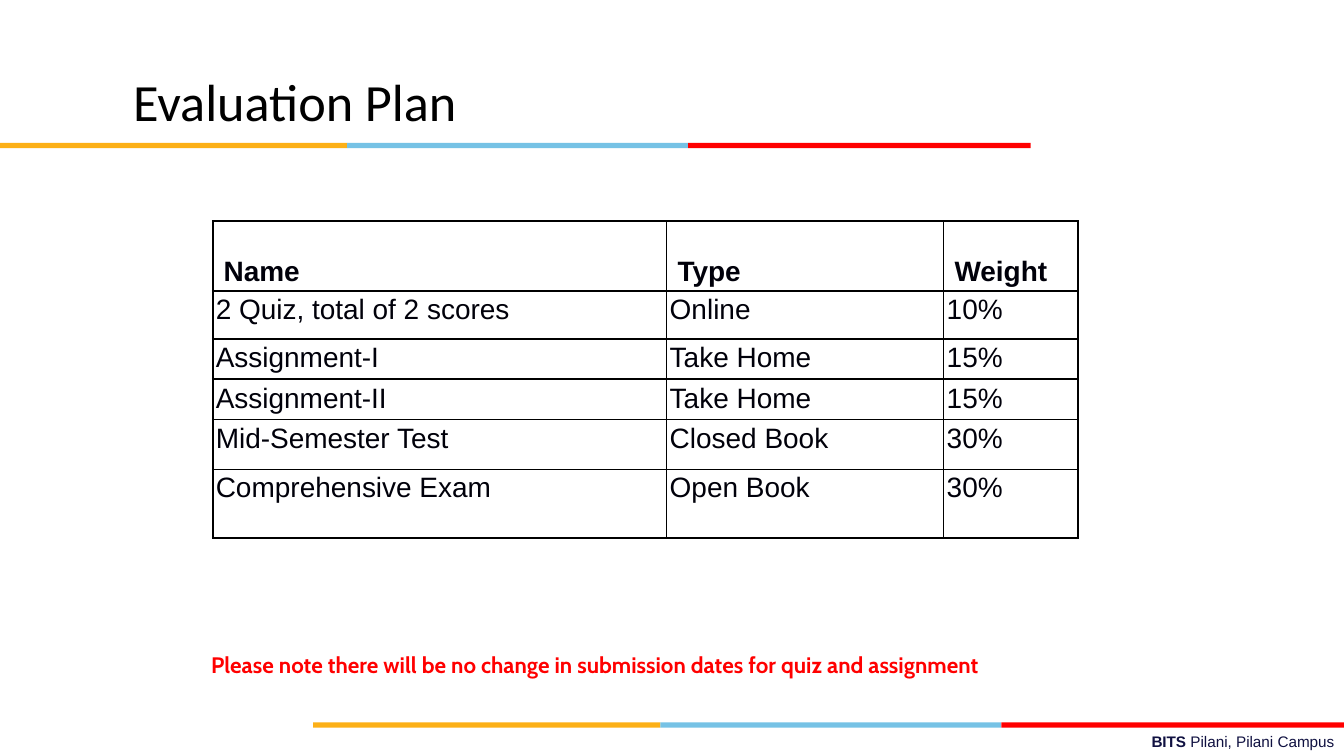
"""Build the Evaluation Plan slide."""
from dataclasses import dataclass

from lxml import etree
from pptx import Presentation
from pptx.dml.color import RGBColor
from pptx.enum.shapes import MSO_SHAPE
from pptx.enum.text import MSO_ANCHOR, PP_ALIGN
from pptx.oxml.ns import qn
from pptx.util import Pt

RECT = MSO_SHAPE.RECTANGLE
TOP, MIDDLE, BOTTOM = MSO_ANCHOR.TOP, MSO_ANCHOR.MIDDLE, MSO_ANCHOR.BOTTOM
LEFT, RIGHT = PP_ALIGN.LEFT, PP_ALIGN.RIGHT


@dataclass(frozen=True)
class Theme:
    black: str = "000000"
    table_ink: str = "00000A"
    navy: str = "101141"
    red: str = "FF0000"
    stripes: tuple = ("FCB017", "76C2E5", "FF0000")
    title_size: float = 28
    table_size: float = 15
    note_size: float = 12
    footer_size: float = 8.2
    thick: float = 1.2
    thin: float = 0.5


def add_run(p, text, *, size, color, font="Arial", bold=False):
    r = p.add_run()
    r.text = text
    r.font.size = Pt(size)
    r.font.name = font
    r.font.bold = bold
    r.font.color.rgb = RGBColor.from_string(color)


def set_border(cell, side, width, color):
    ln = etree.SubElement(cell._tc.get_or_add_tcPr(), qn(f"a:ln{side}"), w=str(Pt(width)))
    fill = etree.SubElement(ln, qn("a:solidFill"))
    etree.SubElement(fill, qn("a:srgbClr"), val=color)


class SlideBuilder:
    def __init__(self, s, theme):
        self.s = s
        self.theme = theme

    def text(self, box, runs, *, align=LEFT, anchor=TOP, **fmt):
        sp = self.s.shapes.add_textbox(*map(Pt, box))
        tf = sp.text_frame
        tf.word_wrap = True
        tf.vertical_anchor = anchor
        tf.margin_left = tf.margin_right = Pt(5.2)
        tf.margin_top = tf.margin_bottom = Pt(2.6)
        p = tf.paragraphs[0]
        p.alignment = align
        for text, bold in runs:
            add_run(p, text, bold=bold, **fmt)

    def stripe(self, left, top):
        for color, width in zip(self.theme.stripes, (186, 182.6, 183.6)):
            sp = self.s.shapes.add_shape(RECT, Pt(left), Pt(top), Pt(width), Pt(2.9))
            sp.shadow.inherit = False
            sp.fill.solid()
            sp.fill.fore_color.rgb = RGBColor.from_string(color)
            sp.line.fill.background()
            left += width

    def cell(self, cell, text, header):
        t = self.theme
        cell.margin_left = Pt(5.8 if header else 1.6)
        cell.margin_right = cell.margin_top = cell.margin_bottom = Pt(1.8)
        cell.vertical_anchor = BOTTOM if header else TOP
        add_run(cell.text_frame.paragraphs[0], text, size=t.table_size,
                color=t.table_ink, bold=header)

    def table(self, left, top, widths, heights, rows, thick_rules):
        t = self.theme
        frame = self.s.shapes.add_table(len(rows), len(widths), Pt(left), Pt(top),
                                        Pt(sum(widths)), Pt(sum(heights)))
        table = frame.table
        table.first_row = table.horz_banding = False
        for col, width in zip(table.columns, widths):
            col.width = Pt(width)
        for row, height in zip(table.rows, heights):
            row.height = Pt(height)
        for i, row in enumerate(rows):
            for j, text in enumerate(row):
                cell = table.cell(i, j)
                self.cell(cell, text, header=i == 0)
                edges = {"L": j == 0, "R": j == len(row) - 1,
                         "T": i in thick_rules, "B": i + 1 in thick_rules}
                for side, heavy in edges.items():
                    set_border(cell, side, t.thick if heavy else t.thin, t.black)
                cell.fill.background()


def main():
    prs = Presentation()
    prs.slide_width, prs.slide_height = Pt(720), Pt(405)
    theme = Theme()
    slide = SlideBuilder(prs.slides.add_slide(prs.slide_layouts[6]), theme)

    slide.text((257.8, 389.5, 462.2, 15), [("BITS ", True), ("Pilani, Pilani Campus", False)],
               align=RIGHT, size=theme.footer_size, color=theme.navy)
    slide.stripe(167.8, 387)
    slide.stripe(0, 76.5)
    slide.text((66.2, 28.8, 432, 50.4), [("Evaluation Plan", False)], anchor=MIDDLE,
               size=theme.title_size, color=theme.black, font="Calibri")
    rows = [
        ("Name", "Type", "Weight"),
        ("2 Quiz, total of 2 scores", "Online", "10%"),
        ("Assignment-I", "Take Home", "15%"),
        ("Assignment-II", "Take Home", "15%"),
        ("Mid-Semester Test", "Closed Book", "30%"),
        ("Comprehensive Exam", "Open Book", "30%"),
    ]
    slide.table(114, 118.5, (243.2, 148.4, 72), (37.5, 25.7, 20.9, 20.9, 26.6, 36.7),
                rows, thick_rules={0, 1, 2, 3, len(rows)})
    slide.text((108, 346.3, 499.7, 20.2),
               [("Please note there will be no change in submission dates for quiz and assignment", True)],
               size=theme.note_size, color=theme.red, font="Cabin")
    prs.save("out.pptx")


if __name__ == "__main__":
    main()
